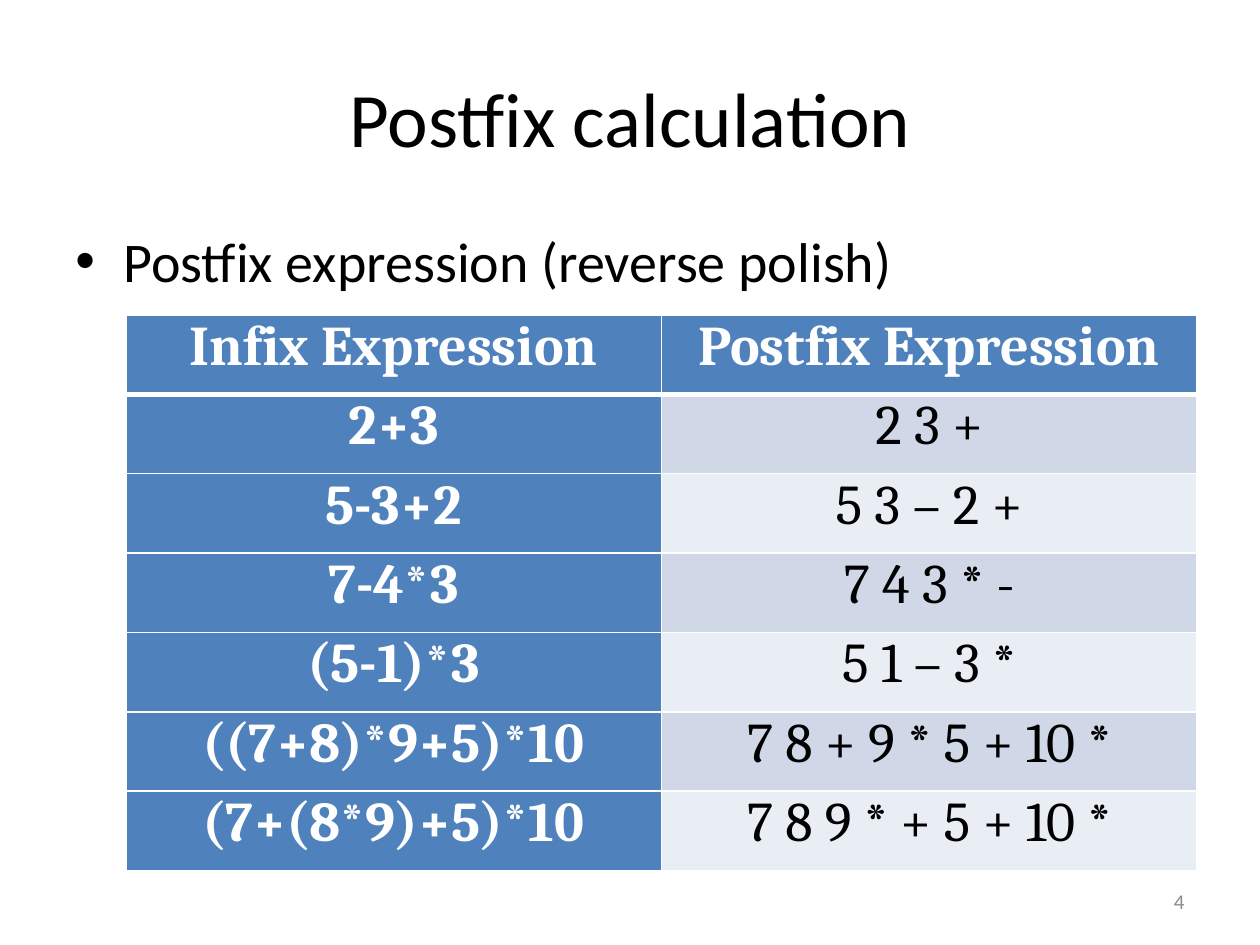
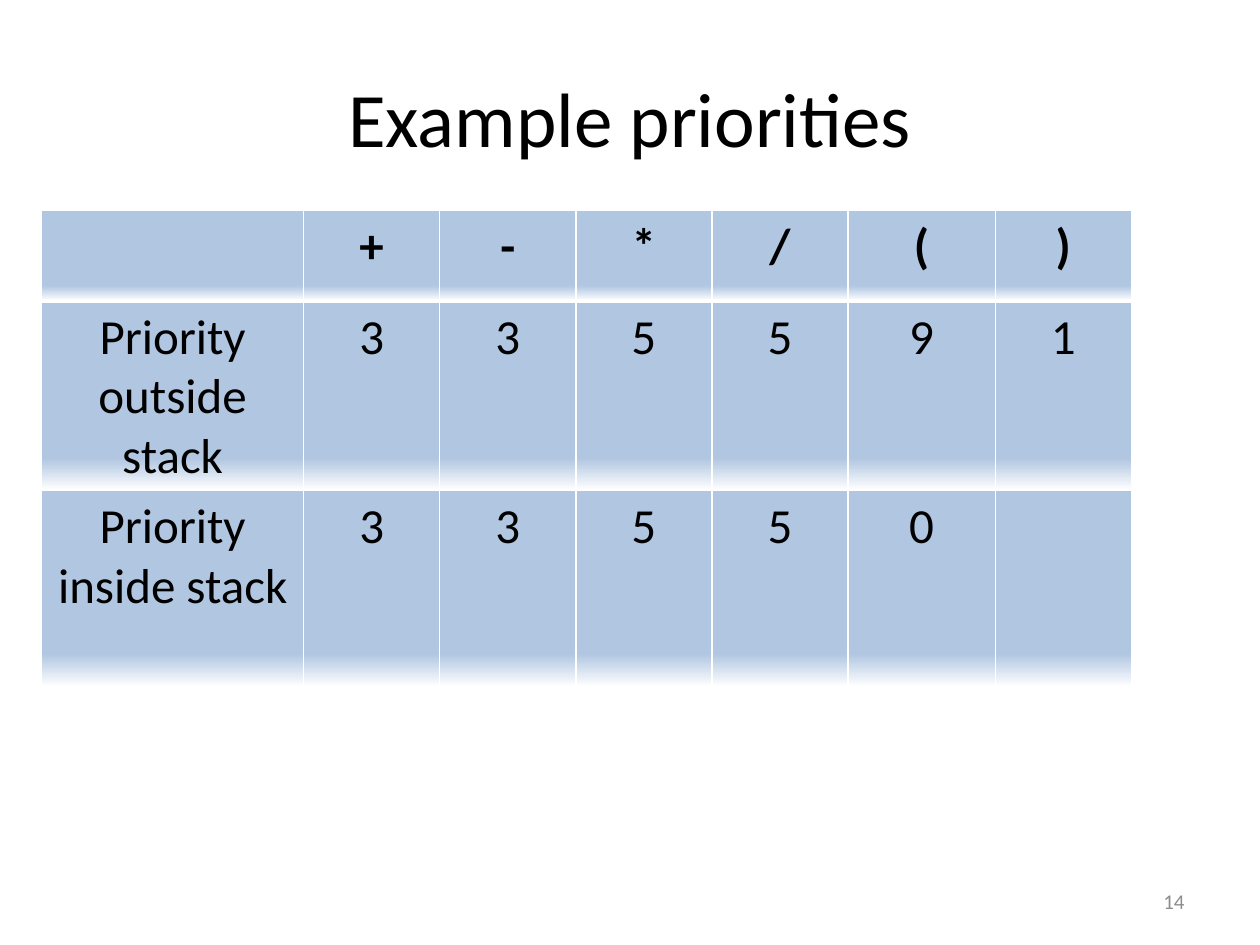
from lxml.etree import SubElement
from pptx import Presentation
from pptx.dml.color import RGBColor
from pptx.enum.text import MSO_ANCHOR, PP_ALIGN
from pptx.oxml.ns import qn
from pptx.util import Inches, Pt

BLACK = RGBColor(0x00, 0x00, 0x00)
WHITE = RGBColor(0xFF, 0xFF, 0xFF)
GRAY = RGBColor(0x8C, 0x8C, 0x8C)
BLUE = RGBColor(0x4F, 0x81, 0xBD)
BAND_DARK = RGBColor(0xD0, 0xD8, 0xE8)
BAND_LIGHT = RGBColor(0xE9, 0xED, 0xF4)
SOFT_BLUE = RGBColor(0xB0, 0xC6, 0xE1)
PALE_BLUE = RGBColor(0xCA, 0xD9, 0xEB)

# Position in percent and colour, from top to bottom of a cell
FADE = [(74, SOFT_BLUE), (83, SOFT_BLUE), (100, WHITE), (100, PALE_BLUE)]

EXPRESSIONS = [
    ("Infix Expression", "Postfix Expression"),
    ("2+3", "2 3 +"),
    ("5-3+2", "5 3 – 2 +"),
    ("7-4*3", "7 4 3 * -"),
    ("(5-1)*3", "5 1 – 3 *"),
    ("((7+8)*9+5)*10", "7 8 + 9 * 5 + 10 *"),
    ("(7+(8*9)+5)*10", "7 8 9 * + 5 + 10 *"),
]
PRIORITIES = [
    ("", "+", "-", "*", "/", "(", ")"),
    ("Priority outside stack", "3", "3", "5", "5", "9", "1"),
    ("Priority inside stack", "3", "3", "5", "5", "0", ""),
]


def add_color(parent, color):
    fill = SubElement(parent, qn("a:solidFill"))
    SubElement(fill, qn("a:srgbClr"), val=str(color))


def set_borders(cell, top, bottom):
    """Draw white borders; top and bottom are widths in points."""
    properties = cell._tc.get_or_add_tcPr()
    for side, width in (("L", 1), ("R", 1), ("T", top), ("B", bottom)):
        line = SubElement(properties, qn(f"a:ln{side}"), w=str(Pt(width)))
        add_color(line, WHITE)


def fill_with_fade(cell):
    properties = cell._tc.get_or_add_tcPr()
    gradient = SubElement(properties, qn("a:gradFill"), rotWithShape="1")
    stops = SubElement(gradient, qn("a:gsLst"))
    for percent, color in FADE:
        stop = SubElement(stops, qn("a:gs"), pos=str(percent * 1000))
        SubElement(stop, qn("a:srgbClr"), val=str(color))
    SubElement(gradient, qn("a:lin"), ang="5400000", scaled="0")


class Deck:
    """Holds the shared style and the current slide."""

    font = "Calibri"

    def __init__(self):
        self.presentation = Presentation()
        self.presentation.slide_width = Inches(10)
        self.presentation.slide_height = Inches(7.5)
        self.slide = None

    def add_slide(self, title, number):
        layout = self.presentation.slide_layouts[6]
        self.slide = self.presentation.slides.add_slide(layout)
        self.add_text(title, (0.5, 0.3, 9, 1.25), 44,
                      align=PP_ALIGN.CENTER, anchor=MSO_ANCHOR.MIDDLE)
        self.add_text(str(number), (7.17, 6.95, 2.33, 0.4), 12, GRAY,
                      PP_ALIGN.RIGHT, MSO_ANCHOR.MIDDLE)

    def style(self, paragraph, size, color, align, bold=False, font=None):
        paragraph.alignment = align
        paragraph.font.name = font or self.font
        paragraph.font.size = Pt(size)
        paragraph.font.bold = bold
        paragraph.font.color.rgb = color

    def add_text(self, text, box, size, color=BLACK, align=PP_ALIGN.LEFT,
                 anchor=MSO_ANCHOR.TOP):
        shape = self.slide.shapes.add_textbox(*map(Inches, box))
        text_frame = shape.text_frame
        text_frame.word_wrap = True
        text_frame.vertical_anchor = anchor
        text_frame.text = text
        paragraph = text_frame.paragraphs[0]
        self.style(paragraph, size, color, align)
        return paragraph

    def add_bullet(self, text, box, size):
        paragraph = self.add_text(text, box, size)
        properties = paragraph._p.get_or_add_pPr()
        properties.set("marL", str(Inches(0.38)))
        properties.set("indent", str(-Inches(0.38)))
        bullet_font = properties.makeelement(qn("a:buFont"), typeface="Arial")
        bullet = properties.makeelement(qn("a:buChar"), char="•")
        properties.insert(0, bullet_font)
        properties.insert(1, bullet)

    def add_table(self, rows, left, top, widths, heights, style_cell):
        """Lay out a table; style_cell(cell, row, column) finishes each cell."""
        frame = self.slide.shapes.add_table(
            len(rows), len(widths), Inches(left), Inches(top),
            Inches(sum(widths)), Inches(sum(heights)))
        table = frame.table
        for column, width in zip(table.columns, widths):
            column.width = Inches(width)
        for row, height in zip(table.rows, heights):
            row.height = Inches(height)
        for row, texts in enumerate(rows):
            for column, text in enumerate(texts):
                cell = table.cell(row, column)
                cell.text_frame.text = text
                set_borders(cell, 3 if row == 1 else 1, 3 if row == 0 else 1)
                style_cell(cell, row, column)

    def style_expression(self, cell, row, column):
        heading = row == 0 or column == 0
        cell.margin_left = cell.margin_right = Inches(0.07)
        cell.margin_top = cell.margin_bottom = 0
        cell.fill.solid()
        band = BAND_DARK if row % 2 else BAND_LIGHT
        cell.fill.fore_color.rgb = BLUE if heading else band
        self.style(cell.text_frame.paragraphs[0], 32,
                   WHITE if heading else BLACK, PP_ALIGN.CENTER,
                   heading, "Cambria")

    def style_priority(self, cell, row, column):
        fill_with_fade(cell)
        self.style(cell.text_frame.paragraphs[0], 28, BLACK,
                   PP_ALIGN.CENTER, row == 0)


def main():
    deck = Deck()

    deck.add_slide("Postfix calculation", 4)
    deck.add_bullet("Postfix expression (reverse polish)",
                    (0.5, 1.75, 9, 4.95), 32)
    deck.add_table(EXPRESSIONS, 1, 2.5, [4.25] * 2,
                   [0.63] * len(EXPRESSIONS), deck.style_expression)

    deck.add_slide("Example priorities", 14)
    deck.add_table(PRIORITIES, 0.33, 1.67, [2.08] + [1.08] * 4 + [1.17, 1.08],
                   [0.72, 1.45, 1.56], deck.style_priority)

    deck.presentation.save("out.pptx")


if __name__ == "__main__":
    main()
